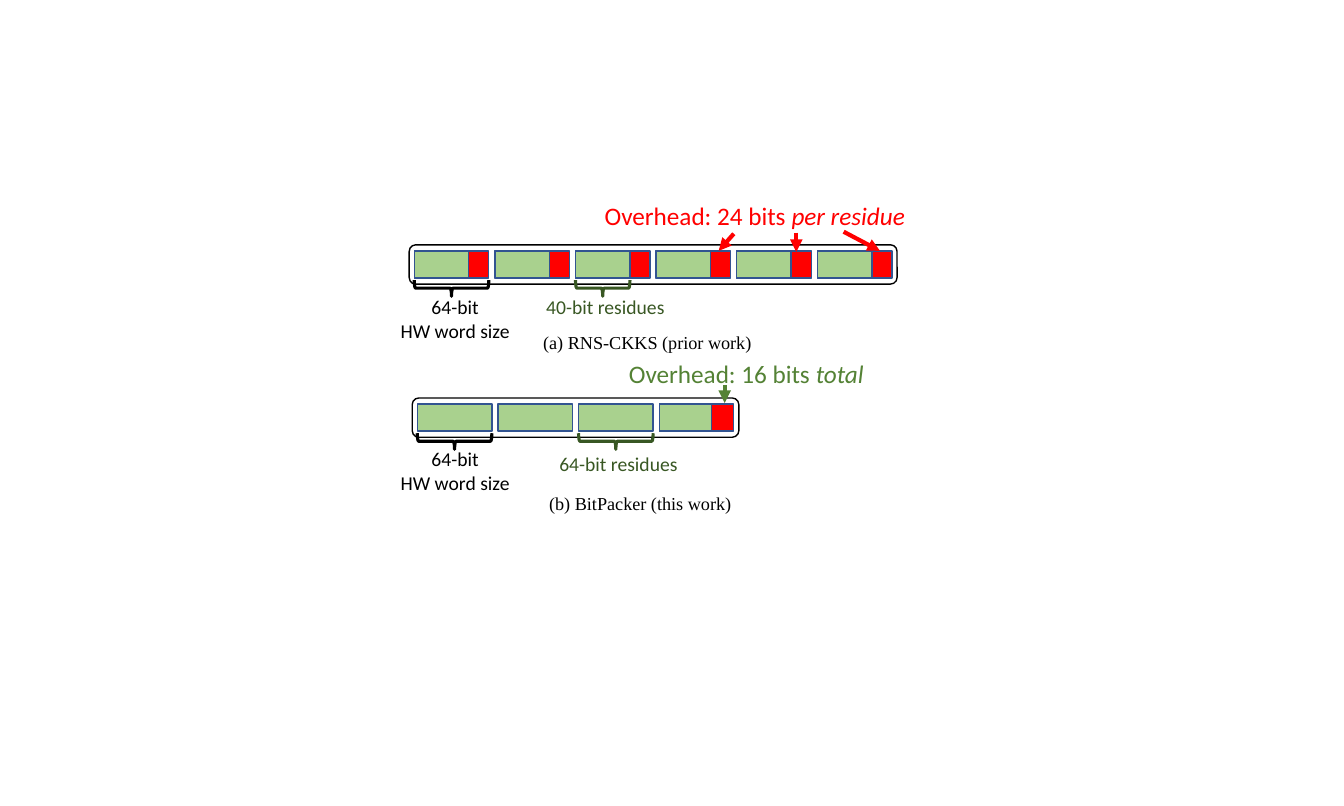
from lxml import etree
from pptx import Presentation
from pptx.dml.color import RGBColor
from pptx.enum.shapes import MSO_CONNECTOR, MSO_SHAPE
from pptx.enum.text import MSO_AUTO_SIZE, PP_ALIGN
from pptx.oxml.ns import qn
from pptx.util import Inches, Pt

RECT, ROUNDED, BRACE = MSO_SHAPE.RECTANGLE, MSO_SHAPE.ROUNDED_RECTANGLE, MSO_SHAPE.LEFT_BRACE
STRAIGHT = MSO_CONNECTOR.STRAIGHT
FIT = MSO_AUTO_SIZE.SHAPE_TO_FIT_TEXT
LEFT, CENTER = PP_ALIGN.LEFT, PP_ALIGN.CENTER
BLACK = RGBColor(0x00, 0x00, 0x00)
WHITE = RGBColor(0xFF, 0xFF, 0xFF)
RED = RGBColor(0xFF, 0x00, 0x00)
BLUE = RGBColor(0x32, 0x54, 0x91)
LIGHT_GREEN = RGBColor(0xA9, 0xD1, 0x8E)
GREEN = RGBColor(0x54, 0x82, 0x35)
DARK_GREEN = RGBColor(0x38, 0x57, 0x23)

WORD, PITCH, WORD_HEIGHT = 0.74, 0.8, 0.27
MARGIN, FRAME_HEIGHT = 0.05, 0.39
BRACE_DEPTH, BRACE_DROP = 0.16, 0.37

prs = Presentation()
prs.slide_width, prs.slide_height = Inches(40 / 3), Inches(8)
slide = prs.slides.add_slide(prs.slide_layouts[6])


def add_block(kind, left, top, width, height, fill, line, weight=1):
    block = slide.shapes.add_shape(kind, Inches(left), Inches(top), Inches(width), Inches(height))
    block.shadow.inherit = False
    if fill is None:
        block.fill.background()
    else:
        block.fill.solid()
        block.fill.fore_color.rgb = fill
    block.line.color.rgb = line
    block.line.width = Pt(weight)
    return block


def add_label(left, top, width, height, text, size, color, font="Calibri", align=LEFT, emphasis=""):
    frame = slide.shapes.add_textbox(Inches(left), Inches(top), Inches(width), Inches(height)).text_frame
    frame.word_wrap = False
    frame.auto_size = FIT
    frame.text = text
    if emphasis:
        frame.paragraphs[0].add_run().text = emphasis
        frame.paragraphs[0].runs[-1].font.italic = True
    for paragraph in frame.paragraphs:
        paragraph.alignment = align
        for run in paragraph.runs:
            run.font.name = font
            run.font.size = Pt(size)
            run.font.color.rgb = color


schemes = [
    (4.06, 2.43, 4.84, [0.54] * 6),
    (4.09, 3.95, 3.24, [WORD] * 3 + [0.52]),
]
for frame_left, frame_top, frame_width, payloads in schemes:
    add_block(ROUNDED, frame_left, frame_top, frame_width, FRAME_HEIGHT, WHITE, BLACK)
    first_word, word_top = frame_left + MARGIN, frame_top + 0.06
    for column, payload in enumerate(payloads):
        word_left = first_word + column * PITCH
        if payload < WORD:
            add_block(RECT, word_left, word_top, WORD, WORD_HEIGHT, RED, BLUE)
        add_block(RECT, word_left, word_top, payload, WORD_HEIGHT, LIGHT_GREEN, BLUE)

    for column, span, color in [(0, WORD, BLACK), (2, payloads[2], DARK_GREEN)]:
        brace_center = first_word + column * PITCH + span / 2
        brace = add_block(BRACE, brace_center - BRACE_DEPTH / 2, word_top + BRACE_DROP - span / 2,
                          BRACE_DEPTH, span, None, color, 2.25)
        brace.rotation = 270

for top in (2.88, 4.39):
    add_label(3.87, top, 1.29, 0.57, "64-bit\nHW word size", 14, BLACK, align=CENTER)
for left, top, text in [(5.32, 2.88, "40-bit residues"), (5.45, 4.44, "64-bit residues")]:
    add_label(left, top, 1.39, 0.34, text, 14, DARK_GREEN)
for left, top, width, text in [(5.29, 3.24, 2.3, "(a) RNS-CKKS (prior work)"),
                               (5.35, 4.84, 2.03, "(b) BitPacker (this work)")]:
    add_label(left, top, width, 0.32, text, 13, BLACK, "Times New Roman")
add_label(5.9, 1.94, 3.24, 0.4, "Overhead: 24 bits ", 18, RED, emphasis="per residue")
add_label(6.14, 3.51, 2.61, 0.4, "Overhead: 16 bits ", 18, GREEN, emphasis="total")

overhead_arrows = [
    (7.28, 2.32, 7.13, 2.49, RED),
    (7.9, 2.31, 7.9, 2.5, RED),
    (8.37, 2.3, 8.73, 2.49, RED),
    (7.19, 3.82, 7.19, 4, GREEN),
]
for *ends, color in overhead_arrows:
    arrow = slide.shapes.add_connector(STRAIGHT, *map(Inches, ends))
    arrow.line.color.rgb = color
    arrow.line.width = Pt(3)
    etree.SubElement(arrow.line._get_or_add_ln(), qn("a:tailEnd"), type="triangle")
    etree.SubElement(arrow._element.spPr, qn("a:effectLst"))

prs.save("out.pptx")
